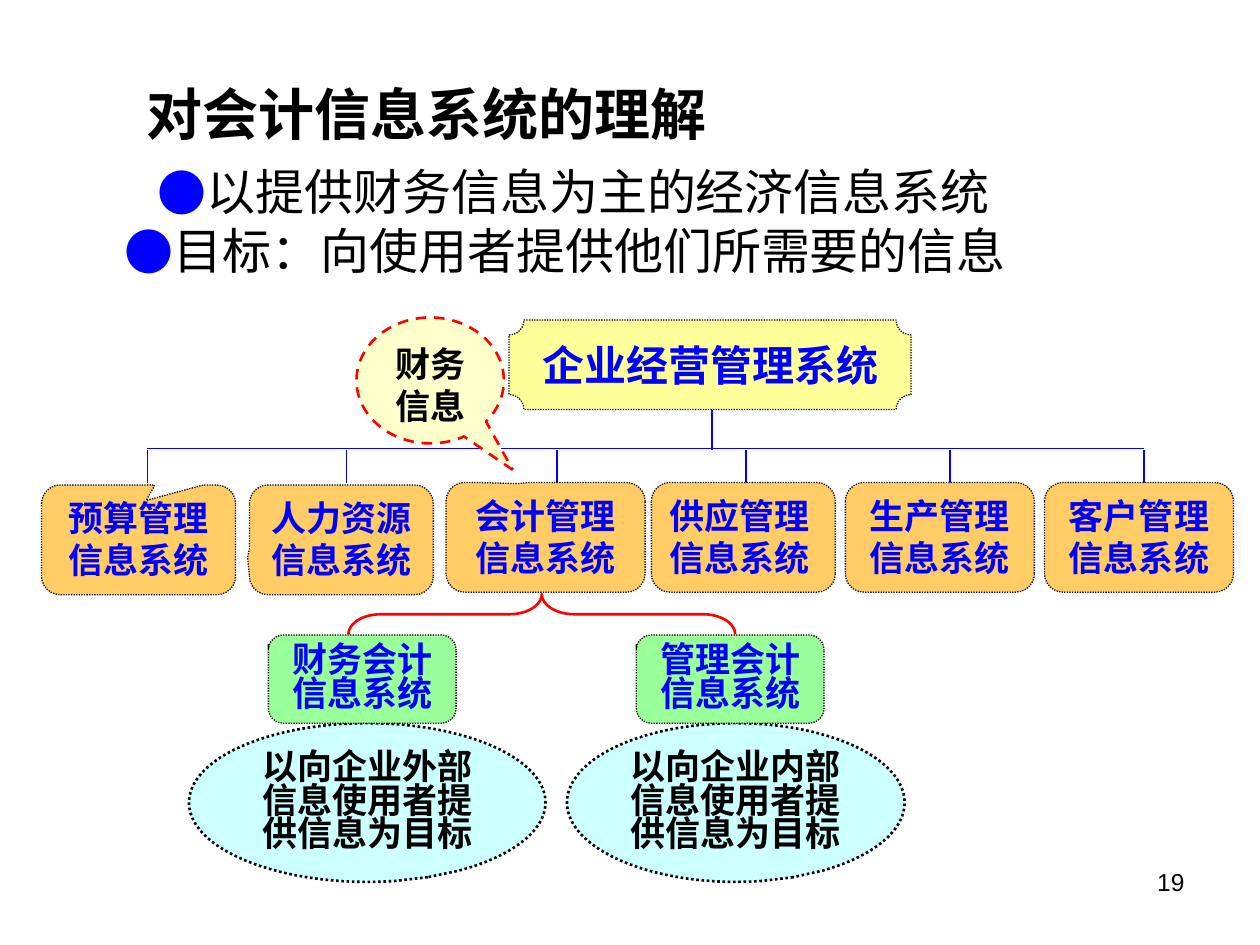
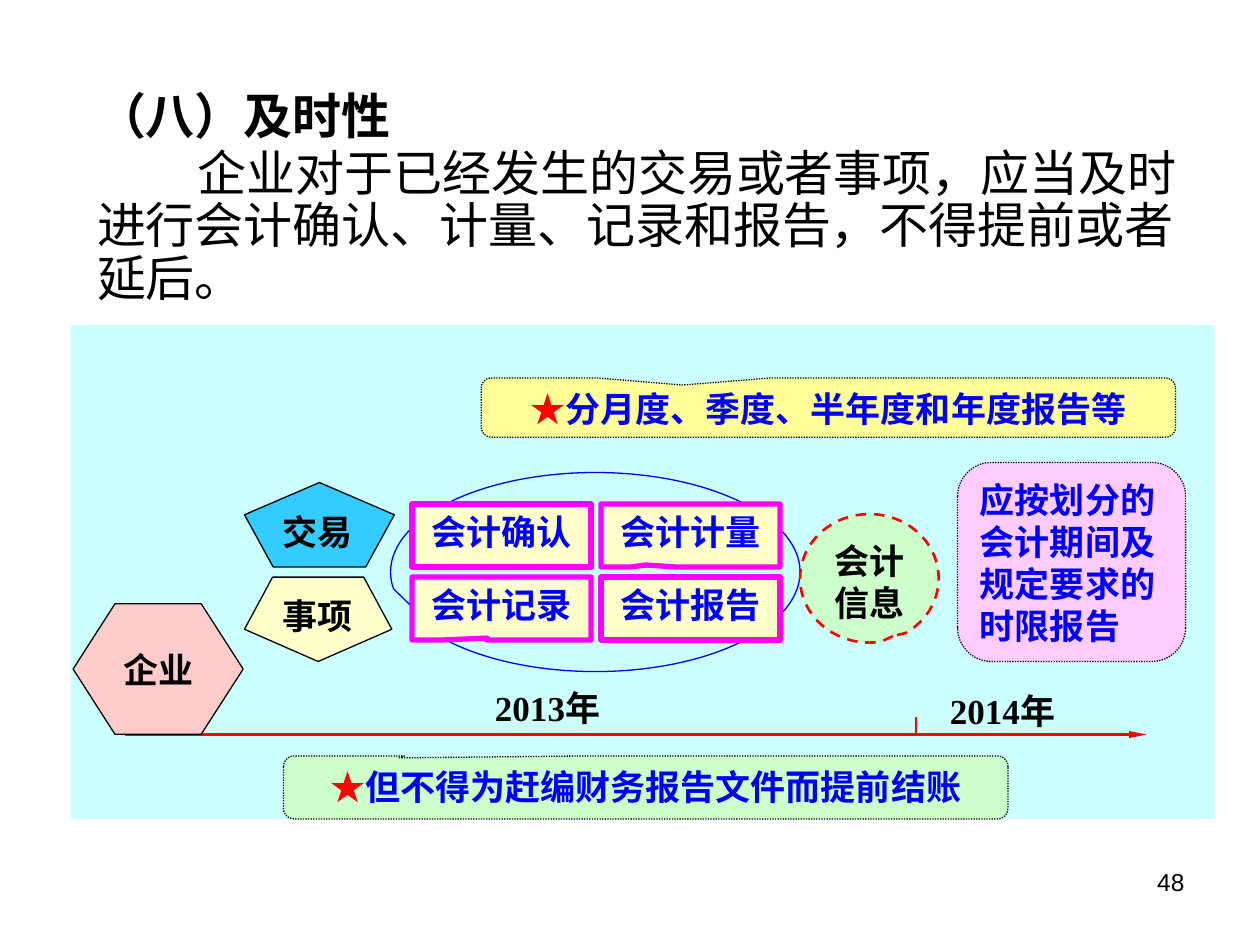
"""Build two accounting slides: the information system tree and the timeliness principle."""
import pptx
import pptx.dml.color
import pptx.enum.dml
import pptx.enum.shapes
import pptx.enum.text
import pptx.oxml.ns
import pptx.util
from lxml import etree

Inches = pptx.util.Inches
Pt = pptx.util.Pt
SHAPE = pptx.enum.shapes.MSO_SHAPE
DASH = pptx.enum.dml.MSO_LINE
ALIGN = pptx.enum.text.PP_ALIGN
ANCHOR = pptx.enum.text.MSO_ANCHOR
qn = pptx.oxml.ns.qn

COLORS = {
    "black": "000000", "blue": "0000FF", "red": "FF0000", "magenta": "FF00FF",
    "orange": "FFCC66", "yellow": "FFFF99", "cream": "FFFFCC", "green": "99FF99",
    "mint": "CCFFCC", "aqua": "CCFFFF", "sky": "33CCFF", "pink": "FFCCCC", "lilac": "FFCCFF",
}
CJK_FONT = "Noto Sans CJK SC"
SERIF, SANS = "Times New Roman", "Arial"

SYSTEM_TITLE = "对会计信息系统的理解"
SYSTEM_POINTS = [("以提供财务信息为主的经济信息系统", 0.65), ("目标：向使用者提供他们所需要的信息", 0.39)]
DEPARTMENTS = [
    ("预算管理信息系统", 0.33, 3.85, 1.54, (0.04, -0.36), 1.17),
    ("人力资源信息系统", 1.98, 3.85, 1.46, (-0.51, 0.16), 2.75),
    ("供应管理信息系统", 5.17, 3.83, 1.46, (-0.5, 0.25), 5.92),
    ("会计管理信息系统", 3.54, 3.83, 1.58, (-0.14, -0.49), 4.42),
    ("生产管理信息系统", 6.71, 3.83, 1.5, (-0.5, 0.26), 7.54),
    ("客户管理信息系统", 8.29, 3.83, 1.5, (-0.5, 0.29), 9.08),
]
BRANCHES = [
    ("财务会计信息系统", 2.13, "以向企业外部信息使用者提供信息为目标", 1.5, 2.83),
    ("管理会计信息系统", 5.05, "以向企业内部信息使用者提供信息为目标", 4.5, 2.68),
]

TIMELY_TITLE = "（八）及时性"
TIMELY_BODY = "企业对于已经发生的交易或者事项，应当及时进行会计确认、计量、记录和报告，不得提前或者延后。"
STEPS = [
    ("会计确认", (-0.18, 0.5)), ("会计计量", (-0.25, 0.47)),
    ("会计记录", (-0.08, 0.47)), ("会计报告", (-0.2, 0.5)),
]
INPUTS = [("事项", 4.58, 1.17, "cream", 180, 4.67), ("交易", 3.83, 1.19, "sky", 0, 4)]
STAR_NOTES = [
    ("分月度、季度、半年度和年度报告等", (3.82, 3, 5.51, 0.47), "yellow", (-0.21, -0.38)),
    ("但不得为赶编财务报告文件而提前结账", (2.25, 6, 5.75, 0.5), "mint", (-0.34, -0.47)),
]
YEARS = [("2013年", 3.83, 5.4), ("2014年", 7.44, 5.42)]


def rgb(name):
    return pptx.dml.color.RGBColor.from_string(COLORS[name])


def write_text(frame, paragraphs, *, size=20, color="blue", bold=True, font=SERIF, align=ALIGN.CENTER,
               spacing=None, anchor=ANCHOR.TOP, wrap=True, inset=(0.1, 0.05), hanging=None, first_indent=None):
    """Fill a frame; each paragraph is a string or a list of (text, color) runs."""
    frame.word_wrap = wrap
    frame.auto_size = pptx.enum.text.MSO_AUTO_SIZE.NONE
    frame.vertical_anchor = anchor
    frame.margin_left = frame.margin_right = Inches(inset[0])
    frame.margin_top = frame.margin_bottom = Inches(inset[1])
    for index, content in enumerate(paragraphs):
        paragraph = frame.add_paragraph() if index else frame.paragraphs[0]
        paragraph.alignment = align
        paragraph.space_before = Pt(0)
        if spacing:
            paragraph.line_spacing = spacing
        if hanging:
            set_bullet(paragraph, hanging[index])
        if first_indent:
            properties = paragraph._p.get_or_add_pPr()
            properties.set("marL", "0")
            properties.set("indent", str(Inches(first_indent)))
            etree.SubElement(properties, qn("a:buNone"))
        for text, run_color in [(content, color)] if isinstance(content, str) else content:
            run = paragraph.add_run()
            run.text = text
            run.font.size = Pt(size)
            run.font.bold = bold
            run.font.name = font
            run.font.color.rgb = rgb(run_color)
            etree.SubElement(run._r.get_or_add_rPr(), qn("a:ea"), typeface=CJK_FONT)


def set_bullet(paragraph, margin):
    properties = paragraph._p.get_or_add_pPr()
    properties.set("marL", str(Inches(margin)))
    properties.set("indent", str(-Inches(0.39)))
    bullet_color = etree.SubElement(properties, qn("a:buClr"))
    etree.SubElement(bullet_color, qn("a:srgbClr"), val=COLORS["blue"])
    etree.SubElement(properties, qn("a:buFont"), typeface=CJK_FONT)
    etree.SubElement(properties, qn("a:buChar"), char="●")


def place(shape, left, top, width, height):
    shape.left, shape.top, shape.width, shape.height = map(Inches, (left, top, width, height))


def add_block(slide, kind, box, *, fill=None, line="black", width=0.75, dash=None,
              adjust=(), rotation=0, text=None, **text_format):
    shape = slide.shapes.add_shape(kind, *map(Inches, box))
    shape.shadow.inherit = False
    shape.rotation = rotation
    for index, value in enumerate(adjust):
        shape.adjustments[index] = value
    if fill:
        shape.fill.solid()
        shape.fill.fore_color.rgb = rgb(fill)
    else:
        shape.fill.background()
    if line:
        shape.line.color.rgb = rgb(line)
        shape.line.width = Pt(width)
        shape.line.dash_style = dash
    else:
        shape.line.fill.background()
    if text:
        write_text(shape.text_frame, text, **text_format)


def add_dotted(slide, box, fill, tip, text, **text_format):
    add_block(slide, SHAPE.ROUNDED_RECTANGULAR_CALLOUT, box, fill=fill, dash=DASH.ROUND_DOT,
              adjust=(*tip, 0.17), text=text, **text_format)


def add_line(slide, start, end, color="blue", width=0.75, arrow=False):
    connector = slide.shapes.add_connector(pptx.enum.shapes.MSO_CONNECTOR.STRAIGHT,
                                           *map(Inches, (*start, *end)))
    connector.line.color.rgb = rgb(color)
    connector.line.width = Pt(width)
    if arrow:
        etree.SubElement(connector.line._get_or_add_ln(), qn("a:tailEnd"), type="triangle", w="sm", len="lg")
    etree.SubElement(connector._element.spPr, qn("a:effectLst"))


def add_label(slide, box, text, **text_format):
    label = slide.shapes.add_textbox(*map(Inches, box))
    write_text(label.text_frame, [text], **text_format)


def add_slide(presentation, number, title, title_box, title_size, body, body_box, **body_format):
    slide = presentation.slides.add_slide(presentation.slide_layouts[1])
    plain = {"color": "black", "align": ALIGN.LEFT, "inset": (0, 0)}
    place(slide.shapes.title, *title_box)
    write_text(slide.shapes.title.text_frame, [title], size=title_size, font=SANS, **plain)
    place(slide.placeholders[1], *body_box)
    write_text(slide.placeholders[1].text_frame, body, size=28, bold=False, font=CJK_FONT,
               **plain, **body_format)
    add_label(slide, (7.17, 6.83, 2.33, 0.52), number, size=14, color="black", bold=False,
              font=SANS, align=ALIGN.RIGHT)
    return slide


def build_system_slide(presentation):
    slide = add_slide(presentation, "19", SYSTEM_TITLE, (1.16, 0.63, 8.3, 0.55), 32,
                      [text for text, margin in SYSTEM_POINTS], (0.99, 1.28, 8.5, 1.2),
                      hanging=[margin for text, margin in SYSTEM_POINTS])
    for name, left, goal, goal_left, goal_width in BRANCHES:
        add_block(slide, SHAPE.OVAL_CALLOUT, (goal_left, 5.74, goal_width, 1.26), fill="aqua", width=1.5,
                  dash=DASH.ROUND_DOT, adjust=(0.17, 0.47), text=[goal], color="black", spacing=0.8)
        add_dotted(slide, (left, 5.04, 1.49, 0.7), "green", (-0.5, -0.4), [name], spacing=0.8)
    add_block(slide, SHAPE.LEFT_BRACE, (4.14, 3.34, 0.32, 3.07), line="red", width=1.5,
              adjust=(0.8, 0.5), rotation=90)
    add_line(slide, (5.65, 3.05), (5.65, 3.57))
    add_line(slide, (DEPARTMENTS[0][-1], 3.56), (DEPARTMENTS[-1][-1], 3.56))
    for name, left, top, width, tip, drop in DEPARTMENTS:
        add_line(slide, (drop, 3.57), (drop, 3.83))
        align = ALIGN.LEFT if name.startswith("供应") else ALIGN.CENTER
        add_dotted(slide, (left, top, width, 0.87), "orange", tip, [name], align=align)
    add_block(slide, SHAPE.PLAQUE, (4.04, 2.54, 3.19, 0.71), fill="yellow", dash=DASH.ROUND_DOT,
              text=["企业经营管理系统"], size=24, font=SANS, anchor=ANCHOR.MIDDLE, wrap=False)
    add_block(slide, SHAPE.OVAL_CALLOUT, (2.83, 2.52, 1.17, 1), fill="cream", line="red", width=1.5,
              dash=DASH.DASH, adjust=(0.56, 0.71), text=["财务信息"], color="black")


def build_timely_slide(presentation):
    slide = add_slide(presentation, "48", TIMELY_TITLE, (0.77, 0.68, 8.78, 0.5), 28,
                      [TIMELY_BODY], (0.77, 1.18, 8.78, 1.4), spacing=0.9, first_indent=0.8)
    add_block(slide, SHAPE.RECTANGLE, (0.56, 2.58, 9.08, 3.92), fill="aqua", line=None)
    add_dotted(slide, (7.6, 3.67, 1.81, 1.58), "lilac", (-0.5, 0.19),
               ["应按划分的会计期间及规定要求的时限报告"], font=SANS, align=ALIGN.LEFT)
    for note, box, fill, tip in STAR_NOTES:
        add_dotted(slide, box, fill, tip, [[("★", "red"), (note, "blue")]], font=SANS)
    add_line(slide, (0.99, 5.83), (9.1, 5.83), "red", 1.5, arrow=True)
    add_line(slide, (7.27, 5.69), (7.27, 5.84), "red", 1.5)
    for year, left, top in YEARS:
        add_label(slide, (left, top, 1.18, 0.44), year, color="black", align=ALIGN.LEFT)
    add_block(slide, SHAPE.HEXAGON, (0.58, 4.79, 1.35, 1.04), fill="pink", adjust=(0.32, 1.15),
              text=["企业"], color="black", anchor=ANCHOR.MIDDLE)
    for name, top, width, fill, rotation, label_top in INPUTS:
        add_block(slide, SHAPE.REGULAR_PENTAGON, (1.94, top, width, 0.67), fill=fill, rotation=rotation)
        add_label(slide, (2.02, label_top, 1, 0.5), name, color="black", font=SANS)
    add_block(slide, SHAPE.OVAL_CALLOUT, (3.1, 3.75, 3.25, 1.58), line="blue", adjust=(-0.45, 0.17))
    for index, (name, tip) in enumerate(STEPS):
        row, column = divmod(index, 2)
        add_block(slide, SHAPE.RECTANGULAR_CALLOUT, (3.27 + 1.5 * column, 4 + 0.58 * row, 1.42, 0.5),
                  fill="cream", line="magenta", width=3, adjust=tip, text=[name], font=SANS)
    add_block(slide, SHAPE.OVAL_CALLOUT, (6.35, 4.08, 1.1, 1.02), fill="mint", line="red", width=1.5,
              dash=DASH.DASH, adjust=(0.17, 0.45), text=["会计", "信息"], color="black", font=SANS)


def main():
    presentation = pptx.Presentation()
    presentation.slide_width, presentation.slide_height = Inches(10), Inches(7.5)
    build_system_slide(presentation)
    build_timely_slide(presentation)
    presentation.save("out.pptx")


if __name__ == "__main__":
    main()
